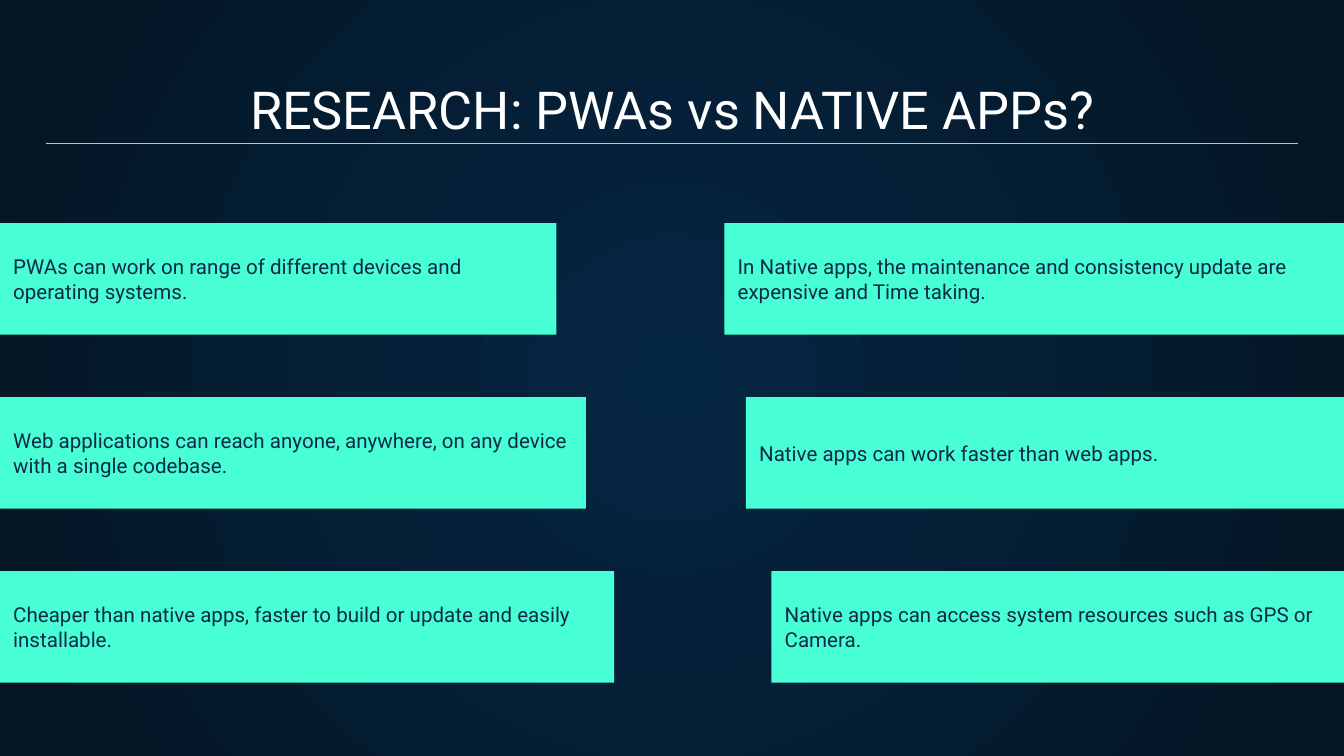
"""Builds the slide comparing PWAs with native apps."""
from lxml import etree
from pptx import Presentation
from pptx.dml.color import RGBColor
from pptx.enum.shapes import MSO_CONNECTOR, MSO_SHAPE
from pptx.enum.text import MSO_ANCHOR, MSO_AUTO_SIZE, PP_ALIGN
from pptx.oxml.ns import qn
from pptx.util import Inches, Pt

RECTANGLE = MSO_SHAPE.RECTANGLE
STRAIGHT = MSO_CONNECTOR.STRAIGHT
MIDDLE, BOTTOM = MSO_ANCHOR.MIDDLE, MSO_ANCHOR.BOTTOM
LEFT, CENTER = PP_ALIGN.LEFT, PP_ALIGN.CENTER
NO_AUTOFIT = MSO_AUTO_SIZE.NONE

COLORS = {
    "center": "052643",
    "edge": "041523",
    "mint": "48FFD5",
    "navy": "0E2A47",
    "white": "FFFFFF",
}
SLIDE_WIDTH = 10
MARGIN = 0.34
BAR_TOP, BAR_HEIGHT, BAR_PITCH = 1.66, 0.83, 1.295


def color(name):
    return RGBColor.from_string(COLORS[name])


def write(shape, text, size, color_name, align, anchor):
    frame = shape.text_frame
    frame.word_wrap = True
    frame.auto_size = NO_AUTOFIT
    frame.vertical_anchor = anchor
    frame.margin_left = frame.margin_right = Inches(0.1)
    frame.margin_top = frame.margin_bottom = Inches(0.1)
    paragraph = frame.paragraphs[0]
    paragraph.alignment = align
    run = paragraph.add_run()
    run.text = text
    run.font.name = "Roboto"
    run.font.size = Pt(size)
    run.font.color.rgb = color(color_name)


prs = Presentation()
prs.slide_width = Inches(SLIDE_WIDTH)
prs.slide_height = Inches(5.625)
slide = prs.slides.add_slide(prs.slide_layouts[0])

backdrop = slide.background.fill
backdrop.gradient()
for stop, name in zip(backdrop.gradient_stops, ("center", "edge")):
    stop.color.rgb = color(name)
gradient = slide.element.find(".//" + qn("a:gradFill"))
gradient.remove(gradient.find(qn("a:lin")))
circle = etree.SubElement(gradient, qn("a:path"), {"path": "circle"})
etree.SubElement(circle, qn("a:fillToRect"), dict.fromkeys("ltrb", "50000"))

subtitle = slide.placeholders[1].element
subtitle.getparent().remove(subtitle)

title = slide.shapes.title
title.left, title.top = Inches(MARGIN), Inches(0.54)
title.width, title.height = Inches(SLIDE_WIDTH - 2 * MARGIN), Inches(0.6)
write(title, "RESEARCH: PWAs vs NATIVE APPs?", 28, "white", CENTER, BOTTOM)

underline = slide.shapes.add_connector(
    STRAIGHT, Inches(MARGIN), Inches(1.07), Inches(SLIDE_WIDTH - MARGIN), Inches(1.07)
)
underline.line.color.rgb = color("mint")
underline.line.width = Pt(0.75)
etree.SubElement(underline.element.spPr, qn("a:effectLst"))

comparisons = [
    (4.14, "PWAs can work on range of different devices and operating systems.",
     5.39, "In Native apps, the maintenance and consistency update are expensive and Time taking."),
    (4.36, "Web applications can reach anyone, anywhere, on any device with a single codebase.",
     5.55, "Native apps can work faster than web apps."),
    (4.57, "Cheaper than native apps, faster to build or update and easily installable.",
     5.74, "Native apps can access system resources such as GPS or Camera."),
]
for row, (pwa_end, pwa_text, native_start, native_text) in enumerate(comparisons):
    top = BAR_TOP + row * BAR_PITCH
    for start, end, text in (
        (0, pwa_end, pwa_text),
        (native_start, SLIDE_WIDTH, native_text),
    ):
        bar = slide.shapes.add_shape(
            RECTANGLE, Inches(start), Inches(top), Inches(end - start), Inches(BAR_HEIGHT)
        )
        bar.shadow.inherit = False
        bar.fill.solid()
        bar.fill.fore_color.rgb = color("mint")
        bar.line.fill.background()
        write(bar, text, 11, "navy", LEFT, MIDDLE)

prs.save("out.pptx")
